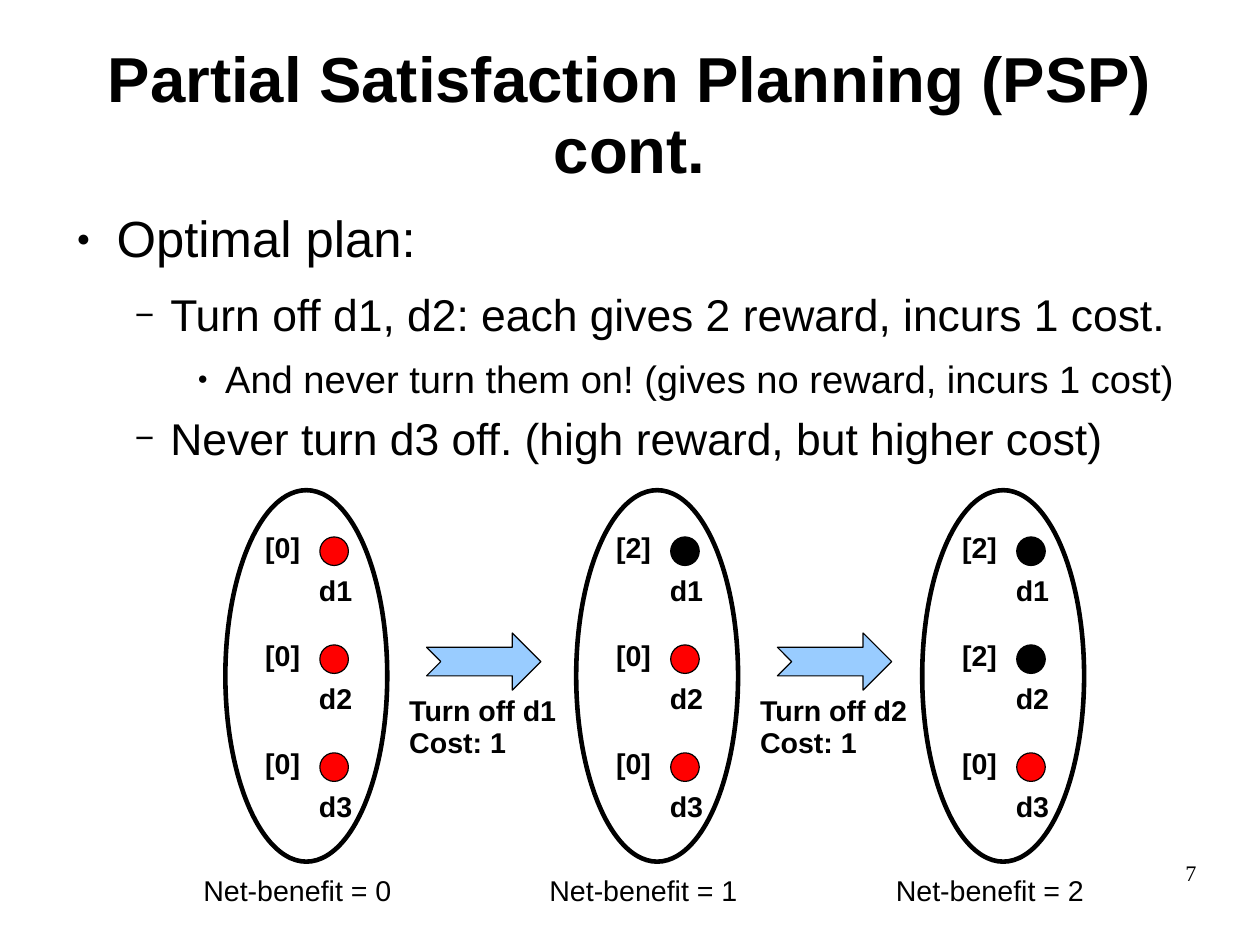
from dataclasses import dataclass
from typing import Optional

from lxml.etree import SubElement
from pptx import Presentation
from pptx.dml.color import RGBColor
from pptx.enum.shapes import MSO_SHAPE
from pptx.enum.text import MSO_ANCHOR, PP_ALIGN
from pptx.oxml.ns import qn
from pptx.util import Pt

COLORS = {"ink": "000000", "on": "FF0000", "off": "000000", "action": "99CCFF"}


@dataclass(frozen=True)
class Bullet:
    symbol: str
    percent: int
    level: int
    margin: float
    hanging: float


@dataclass(frozen=True)
class Line:
    text: str
    size: float = 18
    after: float = 0
    bullet: Optional[Bullet] = None


@dataclass(frozen=True)
class State:
    left: float
    benefit_left: float
    rewards: tuple[int, ...]
    benefit: int
    action: str = ""


TOPIC = Bullet("●", 45, 0, 33.84, 25.2)
STEP = Bullet("−", 75, 1, 67.68, 22.32)
DETAIL = Bullet("●", 45, 2, 102.24, 17.28)

PLAN = [
    Line("Optimal plan:", 32, 14.3, TOPIC),
    Line("Turn off d1, d2: each gives 2 reward, incurs 1 cost.", 28, 11.4, STEP),
    Line("And never turn them on! (gives no reward, incurs 1 cost)", 24, 8.5, DETAIL),
    Line("Never turn d3 off. (high reward, but higher cost)", 28, 11.4, STEP),
]

STATES = [
    State(142, 121, (0, 0, 0), 0, "Turn off d1"),
    State(363, 339, (2, 0, 0), 1, "Turn off d2"),
    State(581, 557.25, (2, 2, 0), 2),
]

FIRST_LAMP_TOP = 338.2
LAMP_PITCH = 68

presentation = Presentation()
presentation.slide_width = Pt(793.75)
presentation.slide_height = Pt(595.25)
slide = presentation.slides.add_slide(presentation.slide_layouts[6])


def add_bullet(paragraph, bullet: Bullet) -> None:
    paragraph.level = bullet.level
    properties = paragraph._p.get_or_add_pPr()
    properties.set("marL", str(Pt(bullet.margin)))
    properties.set("indent", str(-Pt(bullet.hanging)))
    color = SubElement(properties, qn("a:buClr"))
    SubElement(color, qn("a:srgbClr"), val=COLORS["ink"])
    SubElement(properties, qn("a:buSzPct"), val=str(bullet.percent * 1000))
    SubElement(properties, qn("a:buFont"), typeface="Arial")
    SubElement(properties, qn("a:buChar"), char=bullet.symbol)


def add_text(lines: list[Line], left: float, top: float, width: float, height: float, *,
             bold: bool = False, font: str = "Arial", align=PP_ALIGN.LEFT,
             anchor=MSO_ANCHOR.TOP, inset: tuple[float, float] = (7.2, 3.6),
             spacing: float = 0.93) -> None:
    frame = slide.shapes.add_textbox(Pt(left), Pt(top), Pt(width), Pt(height)).text_frame
    frame.word_wrap = True
    frame.vertical_anchor = anchor
    frame.margin_left = frame.margin_right = Pt(inset[0])
    frame.margin_top = frame.margin_bottom = Pt(inset[1])
    for index, line in enumerate(lines):
        paragraph = frame.add_paragraph() if index else frame.paragraphs[0]
        paragraph.text = line.text
        paragraph.alignment = align
        paragraph.line_spacing = spacing
        paragraph.space_after = Pt(line.after)
        if line.bullet:
            add_bullet(paragraph, line.bullet)
        for run in paragraph.runs:
            run.font.name = font
            run.font.size = Pt(line.size)
            run.font.bold = bold
            run.font.color.rgb = RGBColor.from_string(COLORS["ink"])


def add_figure(kind: MSO_SHAPE, left: float, top: float, width: float, height: float,
               fill: Optional[str] = None, weight: float = 0.75) -> None:
    figure = slide.shapes.add_shape(kind, Pt(left), Pt(top), Pt(width), Pt(height))
    figure.shadow.inherit = False
    if fill:
        figure.fill.solid()
        figure.fill.fore_color.rgb = RGBColor.from_string(COLORS[fill])
    else:
        figure.fill.background()
    figure.line.color.rgb = RGBColor.from_string(COLORS["ink"])
    figure.line.width = Pt(weight)


def add_state(state: State) -> None:
    for row, reward in enumerate(state.rewards):
        lamp_top = FIRST_LAMP_TOP + row * LAMP_PITCH
        add_figure(MSO_SHAPE.OVAL, state.left + 59.5, lamp_top, 18, 18,
                   "off" if reward else "on")
        add_text([Line(f"d{row + 1}")], state.left + 51.9, lamp_top + 21, 36, 28, bold=True)
        add_text([Line(f"[{reward}]")], state.left + 18, lamp_top - 5.75, 54, 28, bold=True)
    add_figure(MSO_SHAPE.OVAL, state.left, 308.75, 102, 234, weight=2.89)
    add_text([Line(f"Net-benefit = {state.benefit}")], state.benefit_left, 548.4, 144, 27.4)
    if state.action:
        add_figure(MSO_SHAPE.NOTCHED_RIGHT_ARROW, state.left + 126.75, 398.75, 72, 36, "action")
        add_text([Line(state.action), Line("Cost: 1")], state.left + 108.75, 434.75, 108, 49,
                 bold=True)


add_text([Line("Partial Satisfaction Planning (PSP)\ncont.", 40)], 39.5, 27.4, 714.25, 92.2,
         bold=True, align=PP_ALIGN.CENTER, anchor=MSO_ANCHOR.MIDDLE, inset=(0, 0))
add_text(PLAN, 39.6, 133.7, 714.25, 386, inset=(0, 0))
for plan_state in STATES:
    add_state(plan_state)
add_text([Line("7", 14)], 568.8, 542.5, 185, 41, font="Times New Roman",
         align=PP_ALIGN.RIGHT, inset=(0, 0), spacing=0.95)

presentation.save("out.pptx")
